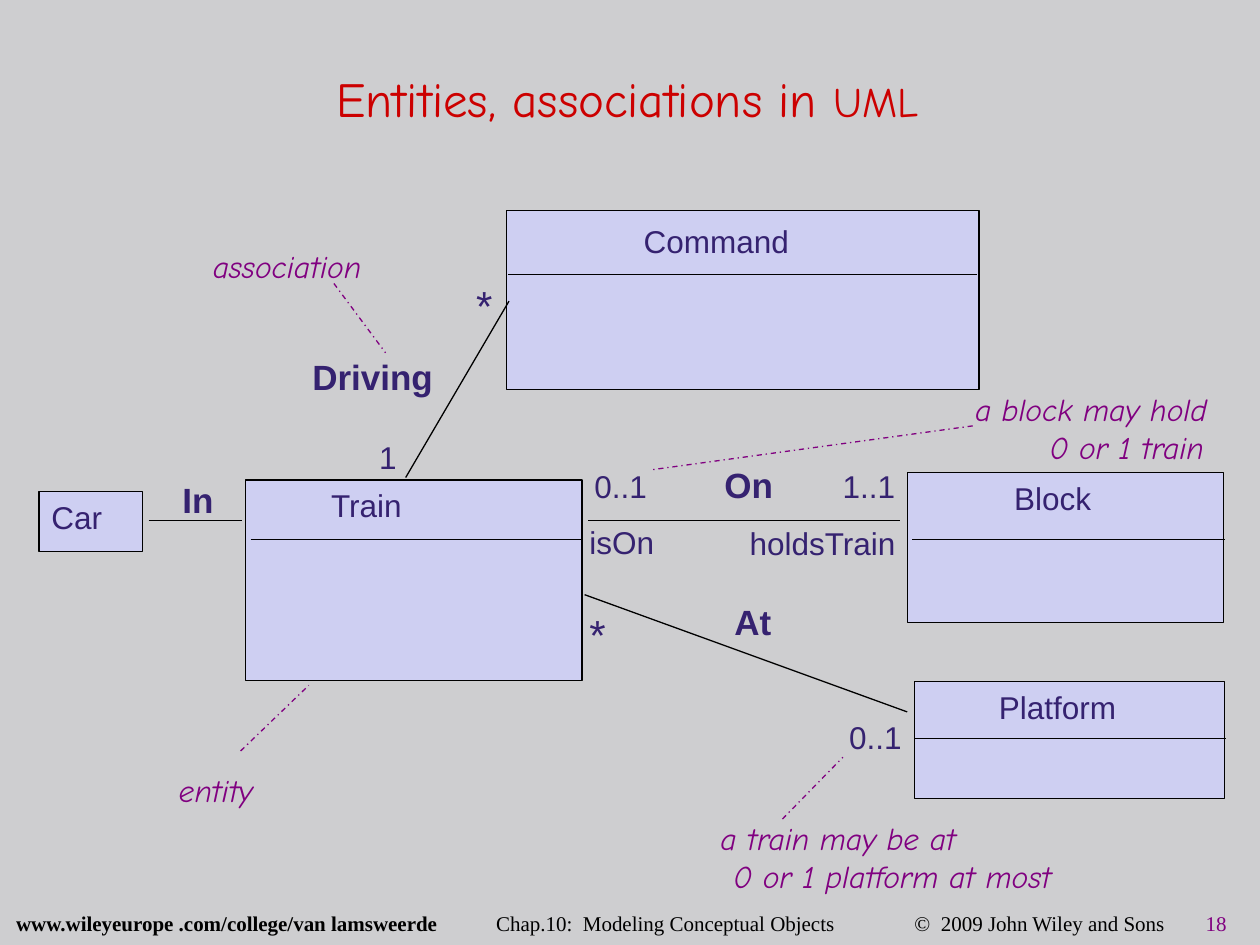
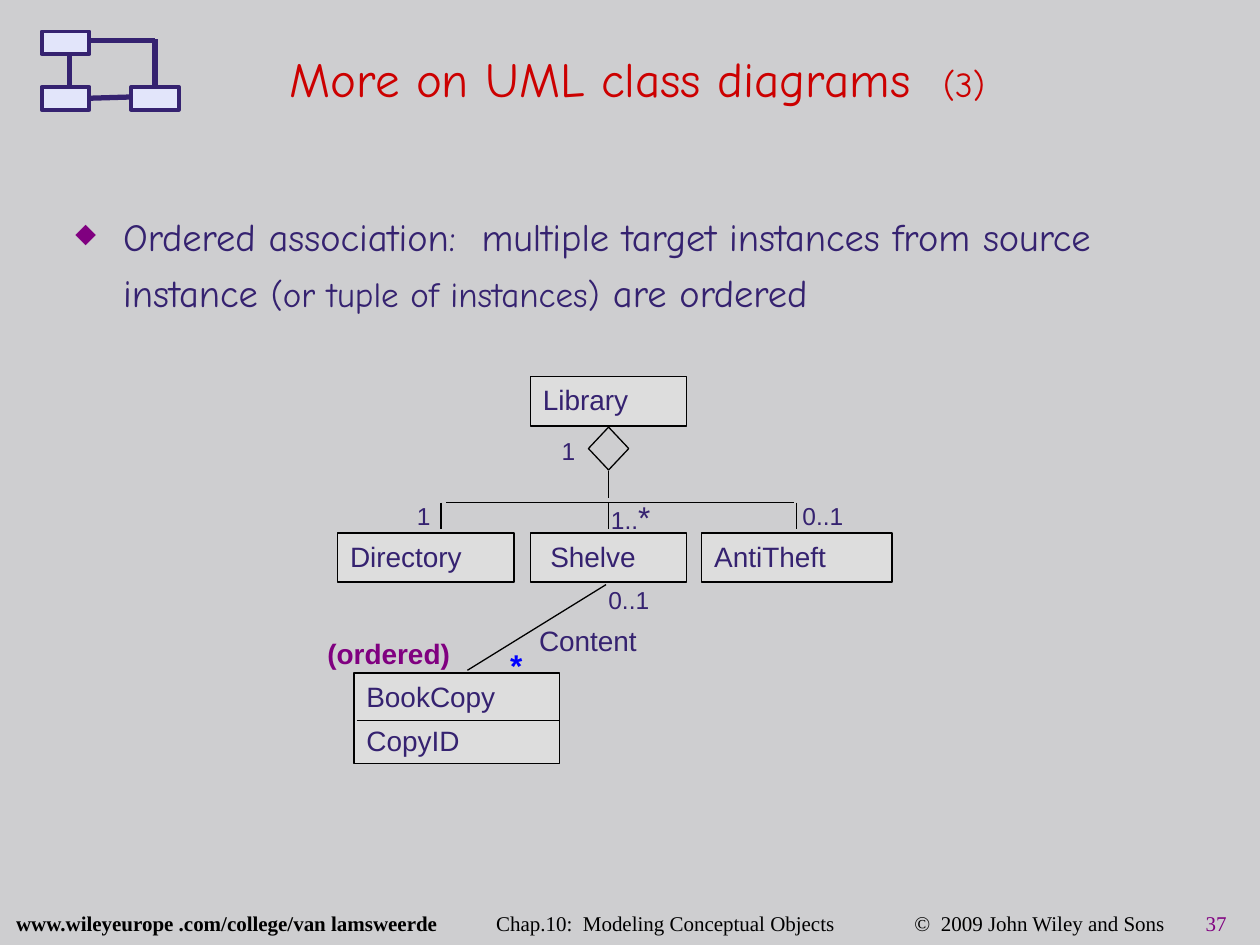
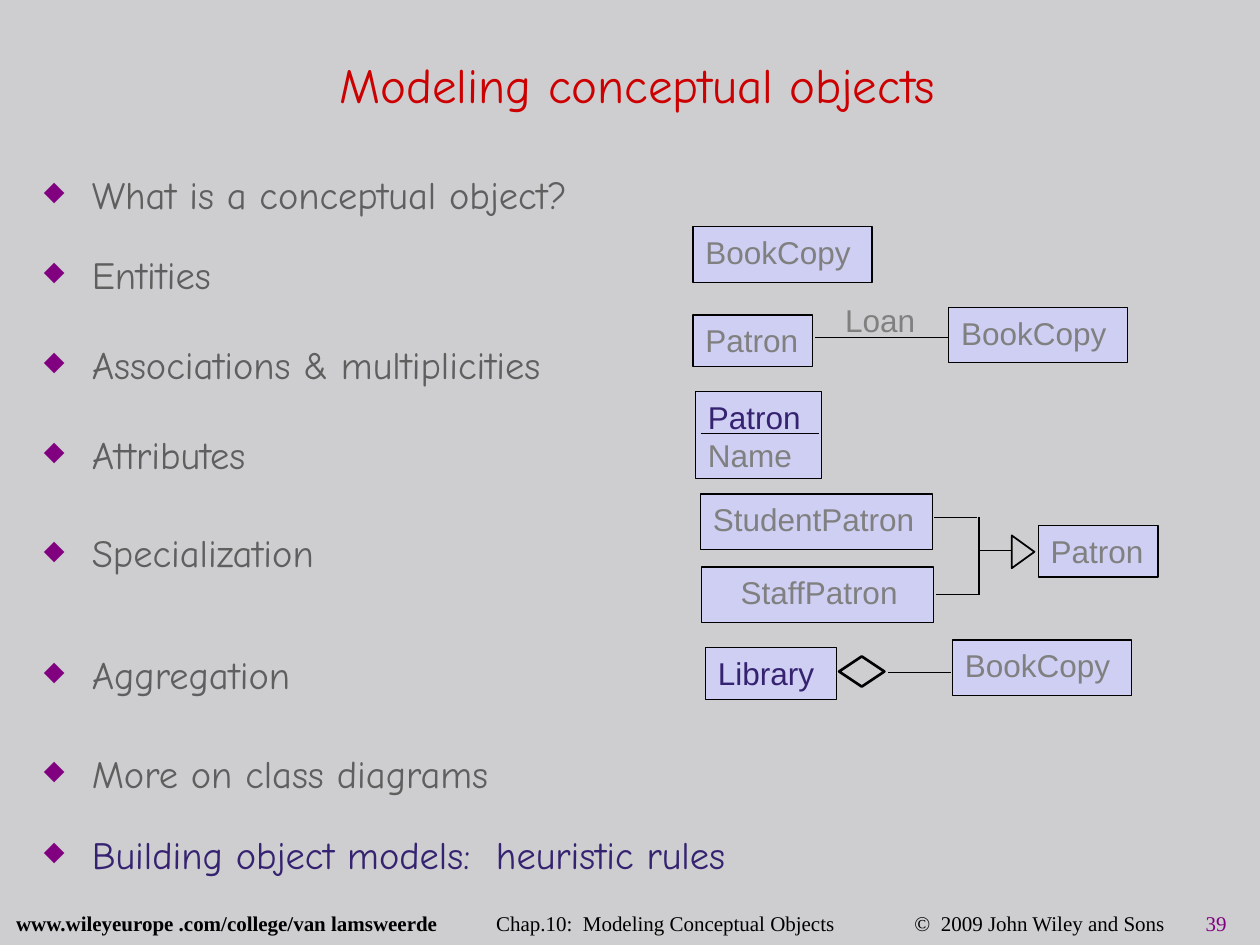
"""Builds three slides on modelling conceptual objects with UML class diagrams."""
import lxml.etree
import pptx
import pptx.dml.color
import pptx.enum.dml
import pptx.enum.shapes
import pptx.enum.text
import pptx.oxml.ns
import pptx.util

SHAPES = pptx.enum.shapes.MSO_SHAPE
ANCHOR = pptx.enum.text.MSO_ANCHOR
DASH_DOT = pptx.enum.dml.MSO_LINE.DASH_DOT
INK, RED, PURPLE, BLACK = "352270", "CC0000", "800080", "000000"
LILAC, SILVER, GREY, DARK_GREY = "CECFF2", "DDDDDD", "808080", "5F5F5F"
BACKDROP, ICON_FILL, BLUE = "CECED0", "E2E5FA", "0000FF"
SANS, HAND, SERIF = "Arial", "Comic Neue", "Times New Roman"
COLUMNS, ROWS = 100, 75


def color(code):
    return pptx.dml.color.RGBColor.from_string(code)


def child(parent, tag, **attributes):
    return lxml.etree.SubElement(parent, pptx.oxml.ns.qn(tag), attributes)


class Deck:
    """Holds the shared style and the current slide, measured in grid columns and rows."""

    def __init__(self):
        self.show = pptx.Presentation()
        self.show.slide_width = pptx.util.Inches(10)
        self.show.slide_height = pptx.util.Inches(7.5)
        backdrop = self.show.slide_master.background.fill
        backdrop.solid()
        backdrop.fore_color.rgb = color(BACKDROP)
        self.slide = None

    def across(self, columns):
        return round(self.show.slide_width * columns / COLUMNS)

    def down(self, rows):
        return round(self.show.slide_height * rows / ROWS)

    def frame(self, x, y, width, height):
        return self.across(x), self.down(y), self.across(width), self.down(height)

    def add_slide(self, number, place, *title):
        self.slide = self.show.slides.add_slide(self.show.slide_layouts[5])
        heading = self.slide.shapes.title
        heading.left, heading.top, heading.width, heading.height = self.frame(*place)
        self.prepare(heading.text_frame, ANCHOR.MIDDLE)
        paragraph = heading.text_frame.paragraphs[0]
        paragraph.alignment = pptx.enum.text.PP_ALIGN.CENTER
        for text, size in title:
            self.run(paragraph, text, size, RED, HAND)
        self.footer(number)

    def footer(self, number):
        paragraph = self.textbox((0.3, 72.3, 99.7, 2.4)).paragraphs[0]
        stops = child(paragraph._p.get_or_add_pPr(), "a:tabLst")
        for stop in (38.1, 71.3, 94.4):
            child(stops, "a:tab", pos=str(self.across(stop)), algn="l")
        paragraph.line_spacing = 0.7
        self.run(paragraph, "www.wileyeurope .com/college/van lamsweerde", 12, BLACK, SERIF, bold=True)
        self.run(paragraph, "\tChap.10:  Modeling Conceptual Objects", 12, BLACK, SERIF)
        self.run(paragraph, "\t©  2009 John Wiley and Sons\t", 12, BLACK, SERIF)
        self.run(paragraph, str(number), 12, PURPLE, SERIF)

    def prepare(self, text_frame, anchor=ANCHOR.TOP):
        text_frame.word_wrap = True
        text_frame.auto_size = pptx.enum.text.MSO_AUTO_SIZE.NONE
        text_frame.vertical_anchor = anchor

    def textbox(self, place, anchor=ANCHOR.TOP):
        text_frame = self.slide.shapes.add_textbox(*self.frame(*place)).text_frame
        self.prepare(text_frame, anchor)
        return text_frame

    def run(self, paragraph, text, size, ink=INK, face=SANS, bold=False, italic=False):
        run = paragraph.add_run()
        run.text = text
        run.font.name, run.font.size = face, pptx.util.Pt(size)
        run.font.bold, run.font.italic = bold, italic
        run.font.color.rgb = color(ink)

    def paragraph(self, text_frame, index, indent=0):
        paragraph = text_frame.add_paragraph() if index else text_frame.paragraphs[0]
        paragraph.alignment = pptx.enum.text.PP_ALIGN.LEFT
        if indent:
            paragraph._p.get_or_add_pPr().set("marL", str(self.across(indent)))
        return paragraph

    def label(self, x, y, width, height, *runs, size=18, **style):
        paragraph = self.paragraph(self.textbox((x, y, width, height)), 0)
        for text, run_size in runs if isinstance(runs[0], tuple) else [(runs[0], size)]:
            self.run(paragraph, text, run_size, **style)

    def note(self, x, y, width, height, *lines, second_indent=0):
        text_frame = self.textbox((x, y, width, height))
        for index, line in enumerate(lines):
            paragraph = self.paragraph(text_frame, index, second_indent if index else 0)
            self.run(paragraph, line, 18, PURPLE, HAND, italic=True)

    def bullets(self, place, *items):
        text_frame = self.textbox(place, ANCHOR.MIDDLE)
        for index, (spacing, runs) in enumerate(items):
            paragraph = self.paragraph(text_frame, index, 3.8)
            properties = paragraph._p.get_or_add_pPr()
            properties.set("indent", str(-self.across(3.8)))
            child(child(properties, "a:buClr"), "a:srgbClr", val=PURPLE)
            child(properties, "a:buSzPct", val="70000")
            child(properties, "a:buChar", char="◆")
            paragraph.line_spacing = spacing
            if index:
                paragraph.space_before = pptx.util.Pt(9)
            for text, size, ink in runs:
                self.run(paragraph, text, size, ink, HAND)

    def shape(self, kind, place, fill=None, ink=BLACK, weight=0.75, rotation=0):
        shape = self.slide.shapes.add_shape(kind, *self.frame(*place))
        shape.shadow.inherit = False
        shape.rotation = rotation
        if fill:
            shape.fill.solid()
            shape.fill.fore_color.rgb = color(fill)
        else:
            shape.fill.background()
        shape.line.color.rgb = color(ink)
        shape.line.width = pptx.util.Pt(weight)
        return shape

    def class_box(self, x, y, width, height, *lines, size=18, inks=(INK,), fill=LILAC,
                  indent=0, gap=0):
        text_frame = self.shape(SHAPES.RECTANGLE, (x, y, width, height), fill).text_frame
        self.prepare(text_frame)
        for index, line in enumerate(lines):
            paragraph = self.paragraph(text_frame, index, indent)
            if index:
                paragraph.space_before = pptx.util.Pt(gap)
            self.run(paragraph, line, size, inks[index % len(inks)])

    def line(self, x1, y1, x2, y2, ink=BLACK, weight=0.75, dash=None):
        line = self.slide.shapes.add_connector(
            pptx.enum.shapes.MSO_CONNECTOR.STRAIGHT,
            self.across(x1), self.down(y1), self.across(x2), self.down(y2))
        line.line.color.rgb = color(ink)
        line.line.width = pptx.util.Pt(weight)
        if dash:
            line.line.dash_style = dash
        child(line._element.spPr, "a:effectLst")


def entities_slide(deck):
    deck.add_slide(18, (1.7, 3.3, 96.2, 8.9), ("Entities, associations in ", 28), ("UML", 24))
    deck.class_box(72.6, 54.1, 24.6, 9.3, "Platform", indent=5.7)
    deck.class_box(72, 37.5, 25.1, 11.9, "Block", indent=7.5)
    deck.class_box(19.5, 38.1, 26.7, 15.9, "Train", indent=5.8)
    deck.class_box(3.1, 39, 8.2, 4.8, "Car")
    deck.class_box(40.2, 16.7, 37.5, 14.2)
    deck.label(50.1, 17.1, 22.2, 5.6, "Command")
    for left, right, y in ((72.6, 97.3, 58.6), (72.4, 97.2, 42.8), (19.9, 46.1, 42.8),
                           (40.3, 77.5, 21.8)):
        deck.line(left, y, right, y)
    for association in ((11.8, 41.3, 19.2, 41.3), (46.4, 47.2, 72, 56.5),
                        (46.7, 41.3, 71.4, 41.3), (32.2, 37.9, 40.4, 23.9)):
        deck.line(*association)
    for name, x, y, width in (("At", 57.3, 47.2, 10.6), ("On", 56.5, 36.3, 6.9),
                              ("In", 13.5, 37.5, 6.3), ("Driving", 23.8, 27.7, 13.1)):
        deck.label(x, y, width, 6.4, name, size=20, bold=True)
    for end, x, y, width in (("0..1", 46.2, 36.6, 6.6), ("0..1", 66.4, 56.5, 6.6),
                             ("1..1", 65.9, 36.6, 6.6), ("isOn", 45.8, 41, 7.8),
                             ("holdsTrain", 58.5, 41.1, 15.9), ("1", 29.1, 34.3, 4.2)):
        deck.label(x, y, width, 5, end)
    for x, y in ((45.8, 47.8), (36.8, 21.7)):
        deck.label(x, y, 5, 5.2, "*", size=24)
    deck.note(76.4, 30.5, 21.7, 6.7, "a block may hold", "0 or 1 train", second_indent=5.9)
    deck.note(56.2, 64.5, 33.3, 6.7, "a train may be at", "0 or 1 platform at most", second_indent=1)
    deck.note(15.9, 19.1, 18.8, 4.1, "association")
    deck.note(13.2, 60.7, 18.8, 4.1, "entity")
    for pointer in ((77.2, 33.8, 51.6, 37.3), (62.1, 65, 66.9, 60.1),
                    (26.5, 22.5, 30.6, 28), (19.1, 59.6, 24.5, 54.4)):
        deck.line(*pointer, ink=PURPLE, dash=DASH_DOT)


def diagram_icon(deck):
    for x, y in ((3.3, 2.5), (10.4, 6.9), (3.3, 6.9)):
        deck.shape(SHAPES.RECTANGLE, (x, y, 3.8, 1.8), ICON_FILL, INK, 2.25)
    for link in ((7, 7.8, 10.4, 7.7), (12.3, 6.8, 12.3, 3.1), (7.2, 3.2, 12.3, 3.2),
                 (5.5, 7, 5.5, 4.2)):
        deck.line(*link, ink=INK, weight=3)


def ordered_slide(deck):
    deck.add_slide(37, (3.3, 2, 94.6, 8.3), ("More on UML class diagrams  ", 28), ("(3)", 20))
    deck.bullets((5, 16.2, 92.7, 8.8), (1.2, (
        ("Ordered association:  multiple target instances from source instance ", 22, INK),
        ("(or tuple of instances)", 20, INK), (" are ordered", 22, INK))))
    for name, x, y, width, indent in (("Library", 42.1, 29.9, 12.4, 0),
                                      ("Directory", 26.8, 42.3, 14, 0),
                                      ("Shelve", 42.1, 42.3, 12.4, 0.6),
                                      ("AntiTheft", 55.7, 42.3, 15.1, 0)):
        deck.class_box(x, y, width, 3.9, name, size=16, fill=SILVER, indent=indent)
    deck.class_box(28.1, 53.4, 16.3, 7.2, "BookCopy", "CopyID", size=16, fill=SILVER, gap=6)
    deck.line(28.3, 57.2, 44.4, 57.2)
    deck.shape(SHAPES.FLOWCHART_DECISION, (46.7, 33.9, 3.2, 3.4))
    deck.line(48.3, 37.4, 48.3, 39.5)
    deck.line(35.4, 39.9, 63, 39.9)
    for x in (35, 48.3, 63.2):
        deck.line(x, 39.9, x, 42)
    deck.line(37.1, 53.2, 48.1, 46.4)
    for end, x, y in (("1", 43.6, 34.1), ("1", 32.1, 39.3), ("0..1", 62.7, 39.3),
                      ("0..1", 47.3, 45.9)):
        deck.label(x, y, 6.6, 4.2, end, size=14)
    deck.label(47.5, 39, 7.8, 4.2, ("1..", 14), ("*", 18))
    deck.label(39.5, 50.8, 4.3, 3.6, "*", ink=BLUE, bold=True)
    deck.label(25, 50, 13.2, 4.2, "(ordered)", size=16, ink=PURPLE, bold=True)
    deck.label(41.8, 49, 12.6, 4.2, "Content", size=16)
    diagram_icon(deck)


def outline_slide(deck):
    deck.add_slide(39, (3.3, 2.5, 94.6, 8.3), ("Modeling conceptual objects", 28))
    topics = ((1.1, "What is a conceptual object?"), (1.4, "Entities"),
              (1.6, "Associations & multiplicities"), (1.6, "Attributes"),
              (1.8, "Specialization"), (2.3, "Aggregation"), (1.8, "More on class diagrams"))
    deck.bullets((2.5, 14.2, 62.1, 54.4),
                 *((spacing, ((topic, 22, DARK_GREY),)) for spacing, topic in topics),
                 (1.4, (("Building object models:  heuristic rules", 22, INK),)))
    for x, y in ((55, 18), (75.3, 24.4), (75.6, 50.8)):
        deck.class_box(x, y, 14.2, 4.4, "BookCopy", inks=(GREY,))
    for x, y in ((55, 25), (82.4, 41.7)):
        deck.class_box(x, y, 9.5, 4.1, "Patron", inks=(GREY,))
    deck.line(64.7, 26.8, 75.3, 26.8)
    deck.label(66.1, 23.4, 8.3, 4.1, "Loan", ink=GREY)
    deck.class_box(55.2, 31.1, 10, 6.9, "Patron", "Name", inks=(INK, GREY))
    deck.line(55.6, 34.4, 65, 34.4)
    deck.class_box(55.6, 39.2, 18.4, 4.4, "StudentPatron", inks=(GREY,))
    deck.class_box(55.7, 45, 18.4, 4.4, "StaffPatron", inks=(GREY,), indent=2.1)
    deck.shape(SHAPES.ISOSCELES_TRIANGLE, (79.9, 42.9, 2.6, 1.8), weight=1, rotation=90)
    deck.line(80.3, 43.7, 77.8, 43.7, weight=1)
    deck.line(77.7, 41, 77.7, 47.2)
    deck.line(77.7, 47.2, 74.3, 47.2)
    deck.line(77.5, 41.1, 74.1, 41.1)
    deck.class_box(56, 51.4, 10.4, 4.1, "Library")
    deck.shape(SHAPES.FLOWCHART_DECISION, (66.6, 52.1, 3.6, 2.4), weight=1.5)
    deck.line(70.5, 53.4, 75.5, 53.4)


def main():
    deck = Deck()
    entities_slide(deck)
    ordered_slide(deck)
    outline_slide(deck)
    deck.show.save("out.pptx")


if __name__ == "__main__":
    main()
